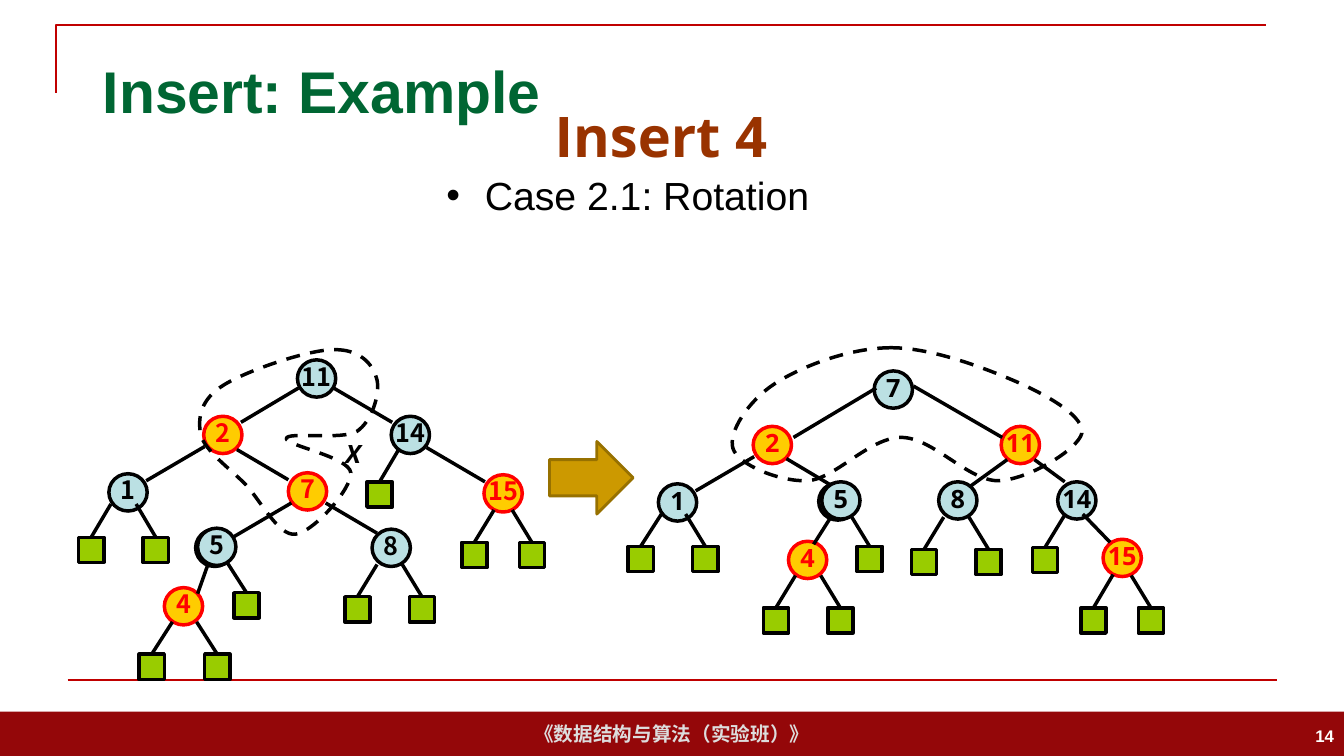
"""Build the red-black tree insertion slide showing a rotation."""
from lxml.etree import SubElement
from pptx import Presentation
from pptx.dml.color import RGBColor
from pptx.enum.dml import MSO_LINE
from pptx.enum.shapes import MSO_CONNECTOR, MSO_SHAPE
from pptx.enum.text import MSO_ANCHOR, MSO_AUTO_SIZE, PP_ALIGN
from pptx.oxml.ns import qn
from pptx.util import Pt

PX = 9144
BLACK, RED, DARK_RED = "000000", "FF0000", "C00000"
NODE_FILLS = {BLACK: "BBE0E3", RED: "FFCC00"}

BEFORE = {
    "font": "Noto Sans CJK SC",
    "nodes": [
        ("11", 295, 357, BLACK), ("2", 202, 413, RED), ("14", 388, 413, BLACK),
        ("1", 108, 470, BLACK), ("15", 480, 471, RED), ("8", 369, 525, BLACK),
        ("5", 194, 525, BLACK), ("4", 163, 583, RED), ("7", 286, 469, RED),
    ],
    "edges": [
        (296, 385, 239, 419), (331, 385, 389, 419), (203, 443, 145, 477),
        (423, 444, 481, 478), (323, 499, 374, 529), (196, 589, 208, 555),
        (289, 499, 231, 533), (235, 446, 286, 476),
    ],
    "leaves": [
        (78, 533, 110, 500), (142, 533, 135, 500), (342, 592, 374, 560),
        (406, 592, 399, 560), (138, 649, 171, 617), (203, 649, 195, 617),
        (458, 538, 490, 506), (515, 538, 508, 506), (364, 478, 396, 445),
        (232, 588, 224, 556),
    ],
    "front": ("5", 196, 524, BLACK),
    "outline": [
        (335, 347), (360, 348), (371, 364), (374, 377), (377, 391), (369, 418),
        (354, 428), (339, 437), (285, 428), (284, 435), (283, 442), (346, 453),
        (348, 469), (349, 485), (311, 528), (293, 530), (276, 532), (259, 497),
        (243, 480), (227, 464), (203, 447), (199, 431), (196, 414), (199, 396),
        (222, 382), (244, 368), (310, 345), (335, 347),
    ],
}

AFTER = {
    "font": "Open Sans",
    "nodes": [
        ("7", 867, 368, BLACK), ("2", 747, 423, RED), ("11", 993, 423, RED),
        ("1", 653, 480, BLACK), ("8", 931, 478, BLACK), ("5", 812, 479, BLACK),
        ("4", 782, 537, RED), ("14", 1049, 478, BLACK), ("15", 1094, 535, RED),
    ],
    "edges": [
        (869, 385, 787, 434), (906, 383, 994, 434), (748, 453, 690, 487),
        (780, 455, 832, 486), (807, 540, 826, 510), (1074, 510, 1101, 538),
        (1056, 478, 1026, 456), (963, 482, 999, 456),
    ],
    "leaves": [
        (623, 542, 656, 510), (687, 542, 680, 510), (904, 545, 936, 513),
        (968, 545, 961, 513), (757, 603, 789, 571), (821, 603, 814, 571),
        (850, 542, 843, 510), (1072, 603, 1104, 570), (1129, 603, 1122, 571),
        (1024, 543, 1056, 511),
    ],
    "front": ("5", 815, 478, BLACK),
    "outline": [
        (884, 345), (842, 345), (794, 364), (768, 381), (742, 398), (722, 429),
        (727, 445), (732, 461), (773, 478), (801, 477), (829, 475), (862, 434),
        (894, 434), (925, 434), (960, 477), (990, 477), (1020, 476), (1069, 446),
        (1073, 430), (1076, 414), (1042, 394), (1011, 380), (979, 366), (925, 345),
        (884, 345),
    ],
}


def color(value):
    """Turn a hex string into a colour."""
    return RGBColor.from_string(value)


def px(*lengths):
    """Turn pixel lengths into EMU."""
    return [length * PX for length in lengths]


def style_line(shape, value, width):
    """Set the colour and width of a line."""
    shape.line.color.rgb = color(value)
    shape.line.width = Pt(width)


def write(shape, text, size, font, value, align=PP_ALIGN.LEFT, anchor=MSO_ANCHOR.MIDDLE,
          bold=True, italic=False, wrap=True):
    """Write one formatted run and return its paragraph."""
    frame = shape.text_frame
    frame.auto_size = MSO_AUTO_SIZE.NONE
    frame.word_wrap = wrap
    frame.vertical_anchor = anchor
    para = frame.paragraphs[0]
    para.alignment = align
    span = para.add_run()
    span.text = text
    span.font.size = Pt(size)
    span.font.name = font
    span.font.bold = bold
    span.font.italic = italic
    span.font.color.rgb = color(value)
    return para


def add_box(page, bounds, *args, **options):
    """Add a text box and return its paragraph."""
    return write(page.shapes.add_textbox(*px(*bounds)), *args, **options)


def add_solid(page, kind, bounds, fill, line=None, width=2.5):
    """Add a filled preset shape."""
    shape = page.shapes.add_shape(kind, *px(*bounds))
    shape.shadow.inherit = False
    shape.fill.solid()
    shape.fill.fore_color.rgb = color(fill)
    if line:
        style_line(shape, line, width)
    else:
        shape.line.fill.background()
    return shape


def add_edge(page, ends, value=BLACK, width=2.5):
    """Add a straight line between two points."""
    edge = page.shapes.add_connector(MSO_CONNECTOR.STRAIGHT, *px(*ends))
    style_line(edge, value, width)
    SubElement(edge._element.spPr, qn("a:effectLst"))
    return edge


def add_path(page, points, value, width, close=False):
    """Add an unfilled outline through points."""
    builder = page.shapes.build_freeform(*points[0], scale=PX)
    builder.add_line_segments(points[1:], close=close)
    shape = builder.convert_to_shape()
    shape.shadow.inherit = False
    shape.fill.background()
    style_line(shape, value, width)
    return shape


def add_dashed_curve(page, points):
    """Add a closed dashed outline of cubic curves."""
    shape = add_path(page, points, BLACK, 2.5, close=True)
    shape.line.dash_style = MSO_LINE.DASH
    segments = list(shape._element.iter(qn("a:lnTo")))
    for start in range(0, len(points) - 1, 3):
        first, *others = segments[start:start + 3]
        first.tag = qn("a:cubicBezTo")
        for segment in others:
            first.append(segment[0])
            segment.getparent().remove(segment)


def add_node(page, font, label, left, top, value):
    """Add a labelled tree node."""
    node = add_solid(page, MSO_SHAPE.OVAL, (left, top, 38, 37), NODE_FILLS[value], value)
    frame = node.text_frame
    frame.margin_left = frame.margin_top = frame.margin_right = 0
    frame.margin_bottom = 5 * PX
    write(node, label, 18, font, value, PP_ALIGN.CENTER, wrap=False)


def add_leaf(page, left, top, foot_x, foot_y):
    """Add a square leaf joined to its parent."""
    leaf = add_solid(page, MSO_SHAPE.RECTANGLE, (left, top, 25, 25), "99CC00", BLACK)
    add_edge(page, (left, top, foot_x, foot_y)).begin_connect(leaf, 0)


def add_tree(page, tree):
    """Add a tree and the dashed outline around its rotated nodes."""
    for node in tree["nodes"]:
        add_node(page, tree["font"], *node)
    for ends in tree["edges"]:
        add_edge(page, ends)
    for leaf in tree["leaves"]:
        add_leaf(page, *leaf)
    add_node(page, tree["font"], *tree["front"])
    add_dashed_curve(page, tree["outline"])


def add_frame(page):
    """Add the footer band, rules, title and page number."""
    band = add_solid(page, MSO_SHAPE.RECTANGLE, (0, 706, 1333, 44), "940709")
    write(band, "《数据结构与算法（实验班）》", 14, "Arial", "DDDDDD", PP_ALIGN.CENTER, wrap=False)
    add_path(page, [(56, 92), (56, 25), (1256, 25)], DARK_RED, 1.5)
    add_edge(page, (67, 675, 1267, 675), DARK_RED, 1.5)
    title = page.shapes.title
    title.left, title.top, title.width, title.height = px(92, 40, 1150, 99)
    write(title, "Insert: Example", 42, "Arial", "006633")
    add_box(page, (1033, 710, 300, 40), "14", 12, "Arial", "FFFFFF", PP_ALIGN.RIGHT)


def add_case(page):
    """Add the operation heading and its bulleted case."""
    add_box(page, (412, 90, 487, 88), "Insert 4", 40, "Open Sans", "993300", PP_ALIGN.CENTER)
    case = add_box(page, (433, 165, 518, 64), "Case 2.1: Rotation", 28, "Arial", BLACK,
                   anchor=MSO_ANCHOR.TOP, bold=False)
    case.space_before = Pt(6)
    properties = case._p.get_or_add_pPr()
    properties.set("marL", str(38 * PX))
    properties.set("indent", str(-38 * PX))
    SubElement(properties, qn("a:buFont"), typeface="Arial")
    SubElement(properties, qn("a:buChar"), char="•")


def main():
    """Build and save the deck."""
    deck = Presentation()
    deck.slide_width, deck.slide_height = px(1333, 750)
    page = deck.slides.add_slide(deck.slide_layouts[5])
    add_frame(page)
    add_tree(page, BEFORE)
    mark = add_box(page, (333, 430, 31, 40), "X", 18, "Open Sans", BLACK,
                   anchor=MSO_ANCHOR.TOP, italic=True)
    mark.space_before = Pt(6)
    add_tree(page, AFTER)
    add_case(page)
    add_solid(page, MSO_SHAPE.RIGHT_ARROW, (545, 438, 83, 72), "CC9900", "977100", 2)
    deck.save("out.pptx")


if __name__ == "__main__":
    main()
